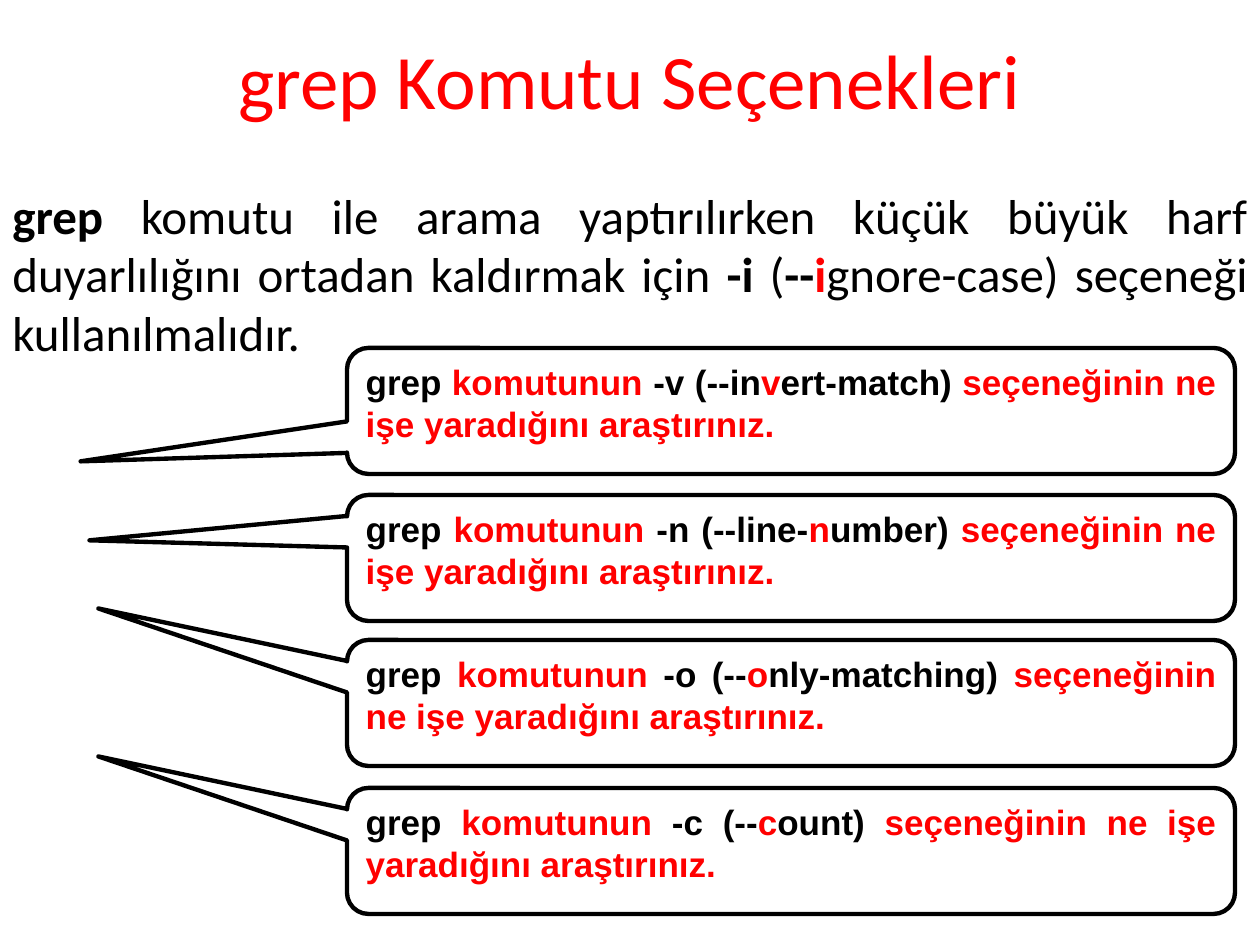
"""Build the slide on grep command options with its four callouts."""
from pptx import Presentation
from pptx.dml.color import RGBColor as Color
from pptx.enum.shapes import MSO_SHAPE as Shape
from pptx.enum.text import MSO_ANCHOR as Anchor, PP_ALIGN as Align
from pptx.util import Pt

PX = 914400 / 126
THEME = {
    "ink": Color(0, 0, 0),
    "accent": Color(255, 0, 0),
    "title": {"name": "Calibri", "size": Pt(44), "bold": False},
    "body": {"name": "Calibri", "size": Pt(28), "bold": False},
    "callout": {"name": "Arial", "size": Pt(20), "bold": True},
    "outline": Pt(2.5),
}


def px(*lengths):
    return [round(length * PX) for length in lengths]


def write(box, style, align, anchor, spans):
    frame = box.text_frame
    frame.word_wrap = True
    frame.vertical_anchor = anchor
    para = frame.paragraphs[0]
    para.alignment = align
    for text, color, changes in spans:
        span = para.add_run()
        span.text = text
        for name, value in {**THEME[style], **changes}.items():
            setattr(span.font, name, value)
        span.font.color.rgb = THEME[color]
    return para


deck = Presentation()
deck.slide_width, deck.slide_height = px(1260, 945)
page = deck.slides.add_slide(deck.slide_layouts[6])
bold = {"bold": True}

title = page.shapes.add_textbox(*px(0, 0, 1260, 158))
write(title, "title", Align.CENTER, Anchor.MIDDLE,
      [("grep Komutu Seçenekleri", "accent", {})])

body = page.shapes.add_textbox(*px(0, 179, 1260, 766))
write(body, "body", Align.JUSTIFY, Anchor.TOP, [
    ("grep", "ink", bold),
    (" komutu ile arama yaptırılırken küçük büyük harf duyarlılığını "
     "ortadan kaldırmak için ", "ink", {}),
    ("-i ", "ink", bold),
    ("(", "ink", {}),
    ("--", "ink", bold),
    ("i", "accent", bold),
    ("gnore-case) seçeneği kullanılmalıdır.", "ink", {}),
])

callouts = [
    (348, -0.8, 0.4, "-v (--in", "v", "ert-match)"),
    (495, -0.79, -0.14, "-n (--line-", "n", "umber)"),
    (640, -0.78, -0.75, "-o (--", "o", "nly-matching)"),
    (788, -0.78, -0.75, "-c (--", "c", "ount)"),
]
for top, tip_x, tip_y, before, letter, after in callouts:
    callout = page.shapes.add_shape(
        Shape.ROUNDED_RECTANGULAR_CALLOUT, *px(347, top, 888, 126))
    for index, value in enumerate((tip_x, tip_y, 0.17)):
        callout.adjustments[index] = value
    callout.shadow.inherit = False
    callout.fill.background()
    callout.line.color.rgb = THEME["ink"]
    callout.line.width = THEME["outline"]
    para = write(callout, "callout", Align.JUSTIFY, Anchor.TOP, [
        ("grep", "ink", {}),
        (" komutunun ", "accent", {}),
        (before, "ink", {}),
        (letter, "accent", {}),
        (after, "ink", {}),
        (" seçeneğinin ne işe yaradığını araştırınız.", "accent", {}),
    ])
    para.space_after = Pt(10)

deck.save("out.pptx")
